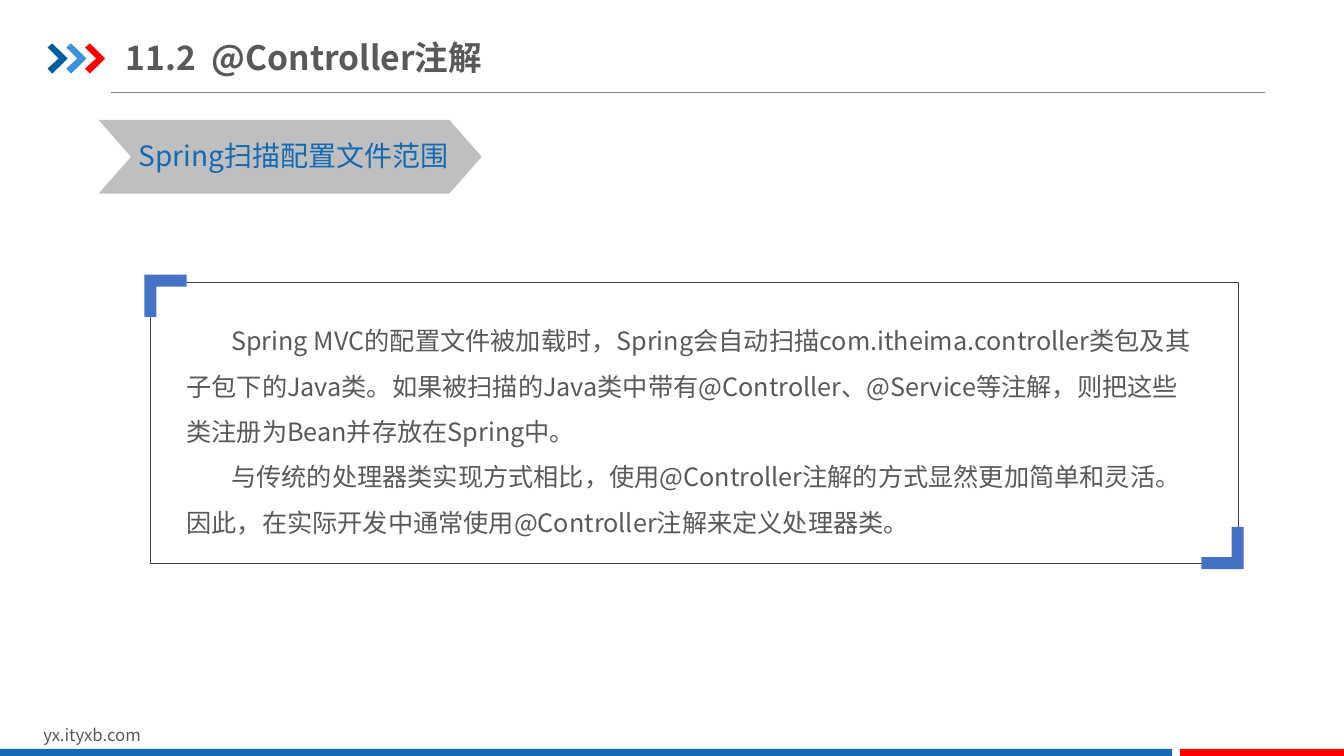
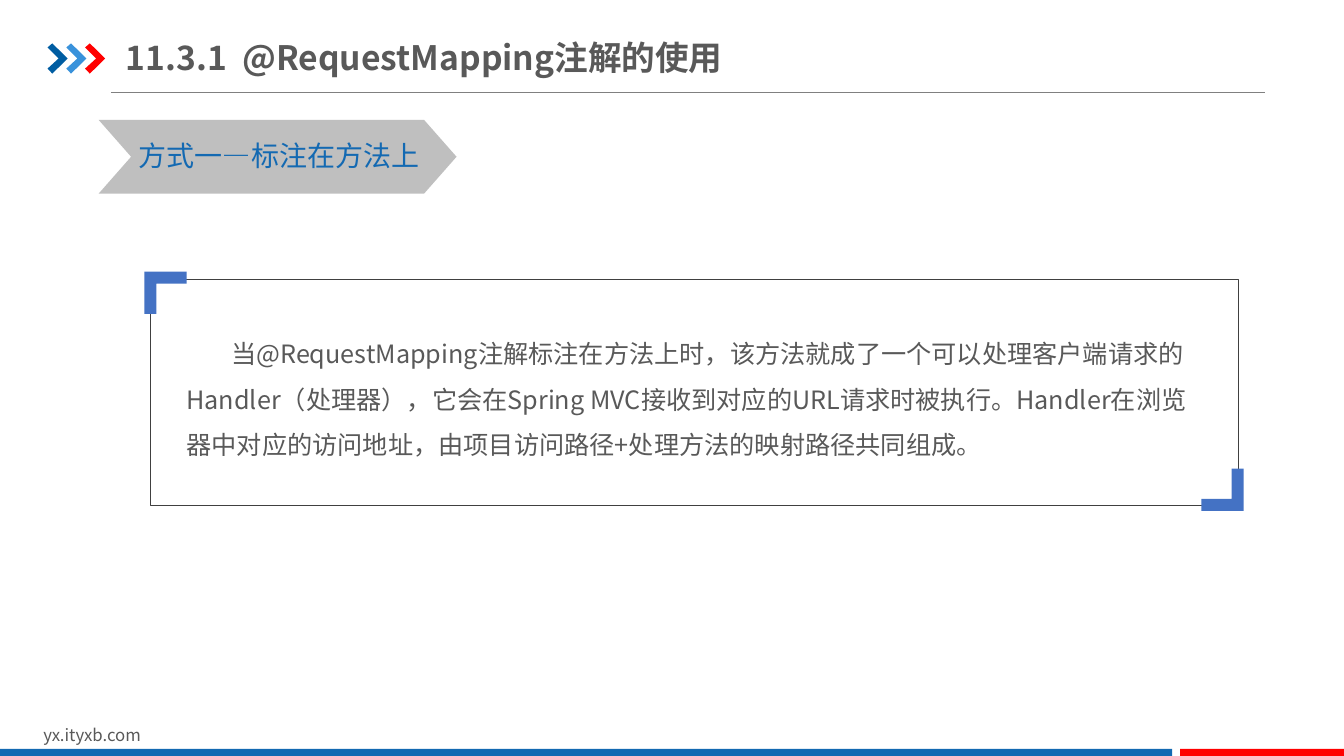
from lxml import etree
from pptx import Presentation
from pptx.dml.color import RGBColor
from pptx.enum.shapes import MSO_CONNECTOR, MSO_SHAPE
from pptx.enum.text import MSO_ANCHOR, MSO_AUTO_SIZE, PP_ALIGN
from pptx.oxml.ns import qn
from pptx.util import Pt

RECTANGLE = MSO_SHAPE.RECTANGLE
CHEVRON = MSO_SHAPE.CHEVRON
STRAIGHT = MSO_CONNECTOR.STRAIGHT
LEFT = PP_ALIGN.LEFT
TOP, MIDDLE = MSO_ANCHOR.TOP, MSO_ANCHOR.MIDDLE
NO_AUTOFIT = MSO_AUTO_SIZE.NONE

FONT = "Noto Sans CJK SC"
BLUE, RED, GREY_TEXT = "1369B2", "FF0000", "595959"
TITLE_ARROWS = ("005DA2", "3992DB", RED)
LABEL_FILL, CORNER_FILL = "BFBFBF", "4472C4"
RULE_LINE, FRAME_LINE = "808080", "404040"
SLIDE_WIDTH, SLIDE_HEIGHT = 960, 540
TITLE_LAYOUT = 1

SLIDES = [
    {
        "title": "11.2  @Controller注解",
        "label": "Spring扫描配置文件范围",
        "label_width": 273.6,
        "frame": (107.3, 201.6, 777, 201),
        "text_inset": 16.5,
        "paragraphs": [
            "Spring MVC的配置文件被加载时，Spring会自动扫描com.itheima.controller类包及其子包下的Java类。"
            "如果被扫描的Java类中带有@Controller、@Service等注解，则把这些类注册为Bean并存放在Spring中。",
            "与传统的处理器类实现方式相比，使用@Controller注解的方式显然更加简单和灵活。"
            "因此，在实际开发中通常使用@Controller注解来定义处理器类。",
        ],
    },
    {
        "title": "11.3.1  @RequestMapping注解的使用",
        "label": "方式一—标注在方法上",
        "label_width": 255.6,
        "frame": (107.3, 199.6, 777, 161.3),
        "text_inset": 28,
        "paragraphs": [
            "当@RequestMapping注解标注在方法上时，该方法就成了一个可以处理客户端请求的Handler（处理器），"
            "它会在Spring MVC接收到对应的URL请求时被执行。Handler在浏览器中对应的访问地址，"
            "由项目访问路径+处理方法的映射路径共同组成。",
        ],
    },
]


def rgb(color):
    return RGBColor.from_string(color)


def points(*values):
    return [Pt(value) for value in values]


def place(shape, box):
    shape.left, shape.top, shape.width, shape.height = points(*box)


def paint(shape, color):
    shape.shadow.inherit = False
    shape.fill.solid()
    shape.fill.fore_color.rgb = rgb(color)
    shape.line.fill.background()


def style(paragraph, size, color, bold=False):
    paragraph.alignment = LEFT
    font = paragraph.font
    font.name, font.size, font.bold = FONT, Pt(size), bold
    font.color.rgb = rgb(color)
    defaults = paragraph._p.pPr.find(qn("a:defRPr"))
    etree.SubElement(defaults, qn("a:ea"), typeface=FONT)


def add_solid(slide, preset, box, color):
    solid = slide.shapes.add_shape(preset, *points(*box))
    paint(solid, color)
    return solid


def add_polygon(slide, outline, color):
    start, *rest = [points(x, y) for x, y in outline]
    builder = slide.shapes.build_freeform(*start)
    builder.add_line_segments(rest, close=True)
    paint(builder.convert_to_shape(), color)


def add_line_of_text(slide, box, text, size, color):
    text_box = slide.shapes.add_textbox(*points(*box))
    text_box.text_frame.word_wrap = True
    paragraph = text_box.text_frame.paragraphs[0]
    paragraph.text = text
    style(paragraph, size, color)


def draw_header(slide, title, left, top):
    arrow = [(0, 2.9), (3.4, 0), (14.4, 10.8), (3.4, 21.6), (0, 18), (7.9, 10.8)]
    for index, color in enumerate(TITLE_ARROWS):
        shift = left + index * 13.4
        add_polygon(slide, [(shift + x, top + 10 + y) for x, y in arrow], color)

    rule_y = top + 44.7
    rule = slide.shapes.add_connector(
        STRAIGHT, *points(left + 45.2, rule_y, left + 869.6, rule_y))
    rule.line.color.rgb = rgb(RULE_LINE)
    rule.line.width = Pt(0.5)
    etree.SubElement(rule.element.spPr, qn("a:effectLst"))

    heading = slide.shapes.title
    place(heading, (left + 56, top, 700, 39.6))
    heading.text = title
    frame = heading.text_frame
    frame.auto_size = NO_AUTOFIT
    frame.vertical_anchor = MIDDLE
    frame.margin_left = frame.margin_right = 0
    frame.margin_top = frame.margin_bottom = Pt(5)
    style(frame.paragraphs[0], 24, GREY_TEXT, bold=True)


def draw_footer(slide, top):
    add_line_of_text(slide, (23.8, top - 21, 229, 21.6), "yx.ityxb.com", 12, GREY_TEXT)
    blue_end, red_start = 837.2, 843
    band_height = SLIDE_HEIGHT - top
    add_solid(slide, RECTANGLE, (0, top, blue_end, band_height), BLUE)
    add_solid(slide, RECTANGLE,
              (red_start, top, SLIDE_WIDTH - red_start, band_height), RED)


def draw_label(slide, text, box):
    left, top, width, height = box
    ribbon = add_solid(slide, CHEVRON, box, LABEL_FILL)
    ribbon.adjustments[0] = 0.44
    add_line_of_text(slide, (left + 21.6, top + 10, width - 21.6, 32), text, 20, BLUE)


def draw_corner(slide, x, y, direction):
    arm, thick = 30.2, 8.6
    outline = [(0, 0), (arm, 0), (arm, thick), (thick, thick), (thick, arm), (0, arm)]
    add_polygon(slide, [(x + direction * dx, y + direction * dy) for dx, dy in outline],
                CORNER_FILL)


def draw_explanation(slide, paragraphs, box, text_inset):
    left, top, width, height = box
    border = slide.shapes.add_shape(RECTANGLE, *points(*box))
    border.shadow.inherit = False
    border.fill.background()
    border.line.color.rgb = rgb(FRAME_LINE)
    border.line.width = Pt(0.25)
    draw_corner(slide, left - 4.2, top - 5.5, 1)
    draw_corner(slide, left + width + 4, top + height + 4, -1)

    body = slide.placeholders[1]
    place(body, (left + 18.7, top + text_inset, 739.4, height - text_inset - 12))
    frame = body.text_frame
    frame.auto_size = NO_AUTOFIT
    frame.vertical_anchor = TOP
    frame.text = "\n".join(paragraphs)
    for paragraph in frame.paragraphs:
        properties = paragraph._p.get_or_add_pPr()
        properties.set("marL", "0")
        properties.set("indent", str(Pt(32)))
        etree.SubElement(properties, qn("a:buNone"))
        paragraph.line_spacing = 1.5
        paragraph.space_before = Pt(0)
        style(paragraph, 18, GREY_TEXT)


def build_slide(deck, content):
    slide = deck.slides.add_slide(deck.slide_layouts[TITLE_LAYOUT])
    draw_header(slide, content["title"], 34, 21)
    draw_footer(slide, 535)
    draw_label(slide, content["label"], (70.5, 85.7, content["label_width"], 52.6))
    draw_explanation(slide, content["paragraphs"], content["frame"], content["text_inset"])


def main():
    deck = Presentation()
    deck.slide_width, deck.slide_height = points(SLIDE_WIDTH, SLIDE_HEIGHT)
    for content in SLIDES:
        build_slide(deck, content)
    deck.save("out.pptx")


if __name__ == "__main__":
    main()
